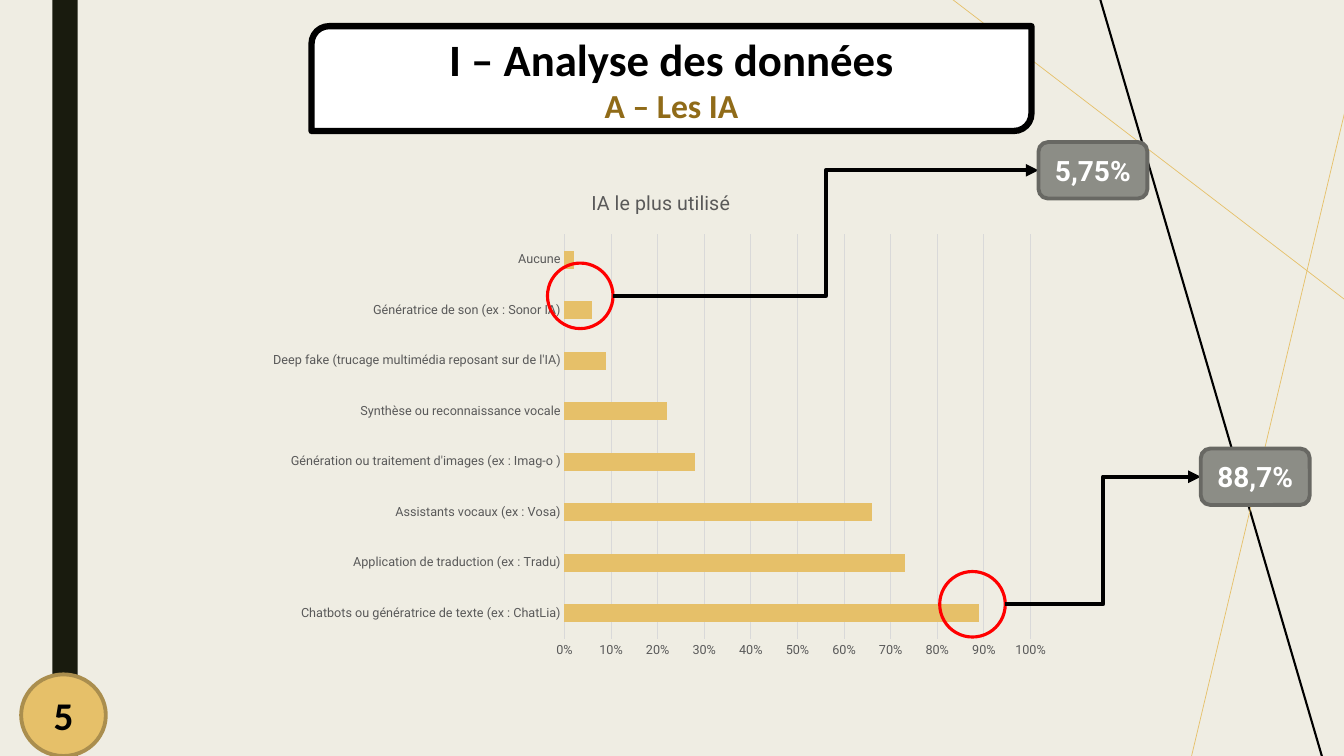
import pptx
import pptx.chart.data
import pptx.dml.color
import pptx.enum.chart
import pptx.enum.shapes
import pptx.enum.text
import pptx.oxml
import pptx.oxml.ns
import pptx.util

Inches = pptx.util.Inches
Pt = pptx.util.Pt
SHAPES = pptx.enum.shapes.MSO_SHAPE
CONNECTORS = pptx.enum.shapes.MSO_CONNECTOR

COLORS = {
    "background": "EFEDE3", "band": "191B0E", "gold": "E6C069", "gold_edge": "AA8E4E",
    "bronze": "906B18", "black": "000000", "white": "FFFFFF", "red": "FF0000",
    "callout": "8C8D86", "callout_edge": "686863", "grid": "D9D9D9", "label": "595959",
}
USAGE = {
    "Chatbots ou génératrice de texte (ex : ChatLia)": 0.89,
    "Application de traduction (ex : Tradu)": 0.73,
    "Assistants vocaux (ex : Vosa)": 0.66,
    "Génération ou traitement d'images (ex : Imag-o )": 0.28,
    "Synthèse ou reconnaissance vocale": 0.22,
    "Deep fake (trucage multimédia reposant sur de l'IA)": 0.09,
    "Génératrice de son (ex : Sonor IA)": 0.06,
    "Aucune": 0.02,
}


def color(name):
    """Return the named colour."""
    return pptx.dml.color.RGBColor.from_string(COLORS[name])


def set_font(font, name, size, color_name, bold=False):
    """Set face, size, colour and weight of a font."""
    font.name, font.size, font.bold = name, Pt(size), bold
    font.color.rgb = color(color_name)


def add_box(slide, kind, box, fill=None, line=None, width=0):
    """Add a preset shape without shadow in the given box."""
    shape = slide.shapes.add_shape(kind, *map(Inches, box))
    shape.shadow.inherit = False
    if fill:
        shape.fill.solid()
        shape.fill.fore_color.rgb = color(fill)
    else:
        shape.fill.background()
    if line:
        shape.line.color.rgb = color(line)
        shape.line.width = Pt(width)
    else:
        shape.line.fill.background()
    return shape


def write_lines(shape, lines):
    """Write centred bold lines given as text, face, size and colour."""
    frame = shape.text_frame
    frame.word_wrap = True
    frame.vertical_anchor = pptx.enum.text.MSO_ANCHOR.MIDDLE
    for index, (text, face, size, color_name) in enumerate(lines):
        paragraph = frame.add_paragraph() if index else frame.paragraphs[0]
        paragraph.text = text
        paragraph.alignment = pptx.enum.text.PP_ALIGN.CENTER
        set_font(paragraph.font, face, size, color_name, True)


def add_line(slide, kind, start, end, color_name, width):
    """Add a connector without shadow between two points."""
    line = slide.shapes.add_connector(kind, *map(Inches, (*start, *end)))
    line.line.color.rgb = color(color_name)
    line.line.width = Pt(width)
    pptx.oxml.ns.qn("a:effectLst")
    line._element.spPr.append(
        pptx.oxml.parse_xml(f"<a:effectLst {pptx.oxml.ns.nsdecls('a')}/>"))
    return line


def add_decor(slide):
    """Draw the side band and the slanted background lines."""
    add_box(slide, SHAPES.RECTANGLE, (0.52, 0, 0.25, 7.5), "band")
    for start, end, color_name, width in (
        ((10.75, -0.56), (13.33, 8.25), "black", 1.5),
        ((8.54, -0.7), (13.74, 3.28), "gold", 0.5),
        ((11.64, 8.25), (13.54, 0.26), "gold", 0.5),
    ):
        add_line(slide, CONNECTORS.STRAIGHT, start, end, color_name, width)


def add_page_number(slide, box):
    """Draw the round page number."""
    badge = add_box(slide, SHAPES.OVAL, box, "gold", "gold_edge", 2.75)
    write_lines(badge, [("5", "Calibri", 28, "black")])


def add_title(slide, box):
    """Draw the framed title and subtitle."""
    frame = add_box(slide, SHAPES.ROUND_2_DIAG_RECTANGLE, box, "white", "black", 4.5)
    write_lines(frame, [("I – Analyse des données", "Calibri", 32, "black"),
                        ("A – Les IA", "Calibri", 24, "bronze")])


def set_plot_layout(chart, x, y, w, h):
    """Fix the inner plot area as fractions of the chart."""
    plot_area = chart._chartSpace.chart.plotArea
    for old in plot_area.findall(pptx.oxml.ns.qn("c:layout")):
        plot_area.remove(old)
    values = "".join(f'<c:{tag} val="{value}"/>' for tag, value in (
        ("layoutTarget", "inner"), ("xMode", "edge"), ("yMode", "edge"),
        ("x", x), ("y", y), ("w", w), ("h", h)))
    plot_area.insert(0, pptx.oxml.parse_xml(
        f"<c:layout {pptx.oxml.ns.nsdecls('c')}>"
        f"<c:manualLayout>{values}</c:manualLayout></c:layout>"))


def add_usage_chart(slide, box):
    """Draw the bar chart of the share of users per kind of AI."""
    data = pptx.chart.data.CategoryChartData(number_format="0%")
    data.categories = list(USAGE)
    data.add_series("Series 1", list(USAGE.values()))
    chart = slide.shapes.add_chart(
        pptx.enum.chart.XL_CHART_TYPE.BAR_CLUSTERED, *map(Inches, box), data).chart
    set_font(chart.font, "Roboto", 10, "black")
    chart.has_legend = False
    chart.has_title = True
    title = chart.chart_title.text_frame.paragraphs[0]
    title.text = "IA le plus utilisé"
    set_font(title.font, "Roboto", 14, "label")
    plot = chart.plots[0]
    plot.gap_width = 182
    plot.vary_by_categories = False
    bars = plot.series[0].format.fill
    bars.solid()
    bars.fore_color.rgb = color("gold")
    for axis in (chart.category_axis, chart.value_axis):
        axis.major_tick_mark = pptx.enum.chart.XL_TICK_MARK.NONE
        axis.minor_tick_mark = pptx.enum.chart.XL_TICK_MARK.NONE
        set_font(axis.tick_labels.font, "Roboto", 9, "label")
    axis = chart.value_axis
    axis.minimum_scale, axis.maximum_scale, axis.major_unit = 0, 1, 0.1
    axis.tick_labels.number_format = "0%"
    axis.tick_labels.number_format_is_linked = False
    axis.format.line.fill.background()
    for line in (chart.category_axis.format.line, axis.major_gridlines.format.line):
        line.color.rgb = color("grid")
        line.width = Pt(0.75)
    set_plot_layout(chart, 0.38, 0.13, 0.58, 0.82)


def add_callout(slide, box, ring_left, ring_top, text):
    """Circle a bar and point from it to a label in the given box."""
    left, top, _, height = box
    size = 0.65
    add_box(slide, SHAPES.OVAL, (ring_left, ring_top, size, size), None, "red", 2.25)
    arrow = add_line(slide, CONNECTORS.ELBOW, (ring_left + size, ring_top + size / 2),
                     (left, top + height / 2), "black", 3)
    arrow.line._get_or_add_ln().append(pptx.oxml.parse_xml(
        f'<a:tailEnd {pptx.oxml.ns.nsdecls("a")} type="triangle"/>'))
    label = add_box(slide, SHAPES.ROUNDED_RECTANGLE, box, "callout", "callout_edge", 2.75)
    write_lines(label, [(text, "Roboto", 20, "white")])


def main():
    """Build the slide and save it."""
    presentation = pptx.Presentation()
    presentation.slide_width, presentation.slide_height = Inches(13.33), Inches(7.5)
    slide = presentation.slides.add_slide(presentation.slide_layouts[6])
    slide.background.fill.solid()
    slide.background.fill.fore_color.rgb = color("background")
    add_decor(slide)
    add_page_number(slide, (0.21, 6.69, 0.84, 0.81))
    add_title(slide, (3.09, 0.26, 7.14, 1.04))
    add_usage_chart(slide, (2.57, 1.69, 7.97, 4.89))
    add_callout(slide, (11.91, 4.45, 1.08, 0.56), 9.32, 5.67, "88,7%")
    add_callout(slide, (10.3, 1.41, 1.08, 0.56), 5.43, 2.61, "5,75%")
    presentation.save("out.pptx")


if __name__ == "__main__":
    main()
